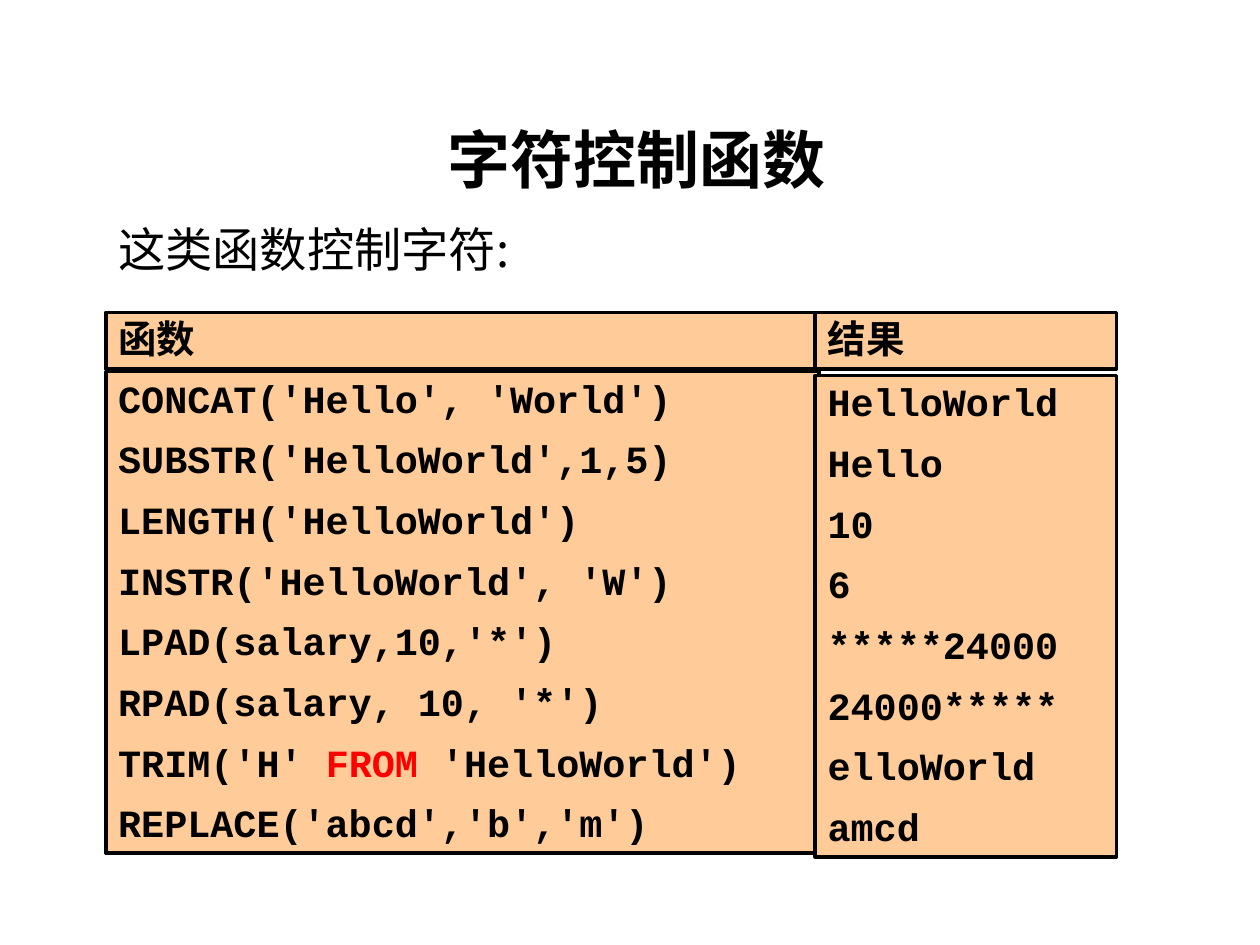
import pptx
import pptx.dml.color
import pptx.enum.shapes
import pptx.enum.text
import pptx.oxml.ns
import pptx.util
from lxml import etree

Inches, Pt = pptx.util.Inches, pptx.util.Pt
CJK = "Noto Sans CJK SC"
CODE = "Courier New"
LEFT, RESULT_LEFT, RESULT_WIDTH = 0.84, 6.47, 2.39
HEADER_TOP, HEADER_HEIGHT, BODY_HEIGHT = 2.48, 0.45, 3.82

EXAMPLES = [
    ("CONCAT('Hello', 'World')", "HelloWorld"),
    ("SUBSTR('HelloWorld',1,5)", "Hello"),
    ("LENGTH('HelloWorld')", "10"),
    ("INSTR('HelloWorld', 'W')", "6"),
    ("LPAD(salary,10,'*')", "*****24000"),
    ("RPAD(salary, 10, '*')", "24000*****"),
    ("TRIM('H' FROM 'HelloWorld')", "elloWorld"),
    ("REPLACE('abcd','b','m')", "amcd"),
]


def color(value):
    return pptx.dml.color.RGBColor.from_string(value)


class Deck:
    ink, panel_fill, accent = "000000", "FFCC99", "FF0000"
    keyword = "FROM"

    def __init__(self):
        self.prs = pptx.Presentation()
        self.prs.slide_width, self.prs.slide_height = Inches(10), Inches(7.5)
        self.s = self.prs.slides.add_slide(self.prs.slide_layouts[6])

    def set_font(self, p, name, size, bold):
        """Style a paragraph, with one font for its Chinese characters."""
        f = p.font
        f.name, f.size, f.bold = name, Pt(size), bold
        f.color.rgb = color(self.ink)
        etree.SubElement(f._element, pptx.oxml.ns.qn("a:ea"), typeface=CJK)

    def add_runs(self, p, line):
        """Write a line, with the keyword in the accent colour."""
        before, keyword, after = line.partition(self.keyword)
        for part in filter(None, (before, keyword, after)):
            r = p.add_run()
            r.text = part
            if part == self.keyword:
                r.font.color.rgb = color(self.accent)

    def text(self, box, line, size, bold=False, align="LEFT"):
        sp = self.s.shapes.add_textbox(*map(Inches, box))
        tf = sp.text_frame
        tf.word_wrap = True
        p = tf.paragraphs[0]
        p.text = line
        p.alignment = getattr(pptx.enum.text.PP_ALIGN, align)
        self.set_font(p, CJK, size, bold)

    def panel(self, box, lines, font):
        sp = self.s.shapes.add_shape(
            pptx.enum.shapes.MSO_SHAPE.RECTANGLE, *map(Inches, box))
        sp.shadow.inherit = False
        sp.fill.solid()
        sp.fill.fore_color.rgb = color(self.panel_fill)
        sp.line.color.rgb = color(self.ink)
        sp.line.width = Pt(2)
        tf = sp.text_frame
        tf.word_wrap = True
        tf.auto_size = pptx.enum.text.MSO_AUTO_SIZE.SHAPE_TO_FIT_TEXT
        tf.vertical_anchor = pptx.enum.text.MSO_ANCHOR.TOP
        for i, line in enumerate(lines):
            p = tf.add_paragraph() if i else tf.paragraphs[0]
            self.add_runs(p, line)
            p.alignment = pptx.enum.text.PP_ALIGN.LEFT
            p.line_spacing = 0.95
            if i:
                p.space_before = Pt(9.6)
            self.set_font(p, font, 22, True)


def main():
    deck = Deck()
    calls, results = zip(*EXAMPLES)
    deck.panel((LEFT, 2.95, 5.66, BODY_HEIGHT), calls, CODE)
    deck.panel((RESULT_LEFT, 2.98, RESULT_WIDTH, BODY_HEIGHT), results, CODE)
    for left, width, heading in ((LEFT, 5.9, "函数"),
                                 (RESULT_LEFT, RESULT_WIDTH, "结果")):
        deck.panel((left, HEADER_TOP, width, HEADER_HEIGHT), [heading], "Arial")
    deck.text((LEFT, 0.91, 8.42, 1.57), "字符控制函数", 36, True, "CENTER")
    deck.text((LEFT, 1.7, 8.42, 0.56), "这类函数控制字符:", 27)
    deck.prs.save("out.pptx")


if __name__ == "__main__":
    main()
